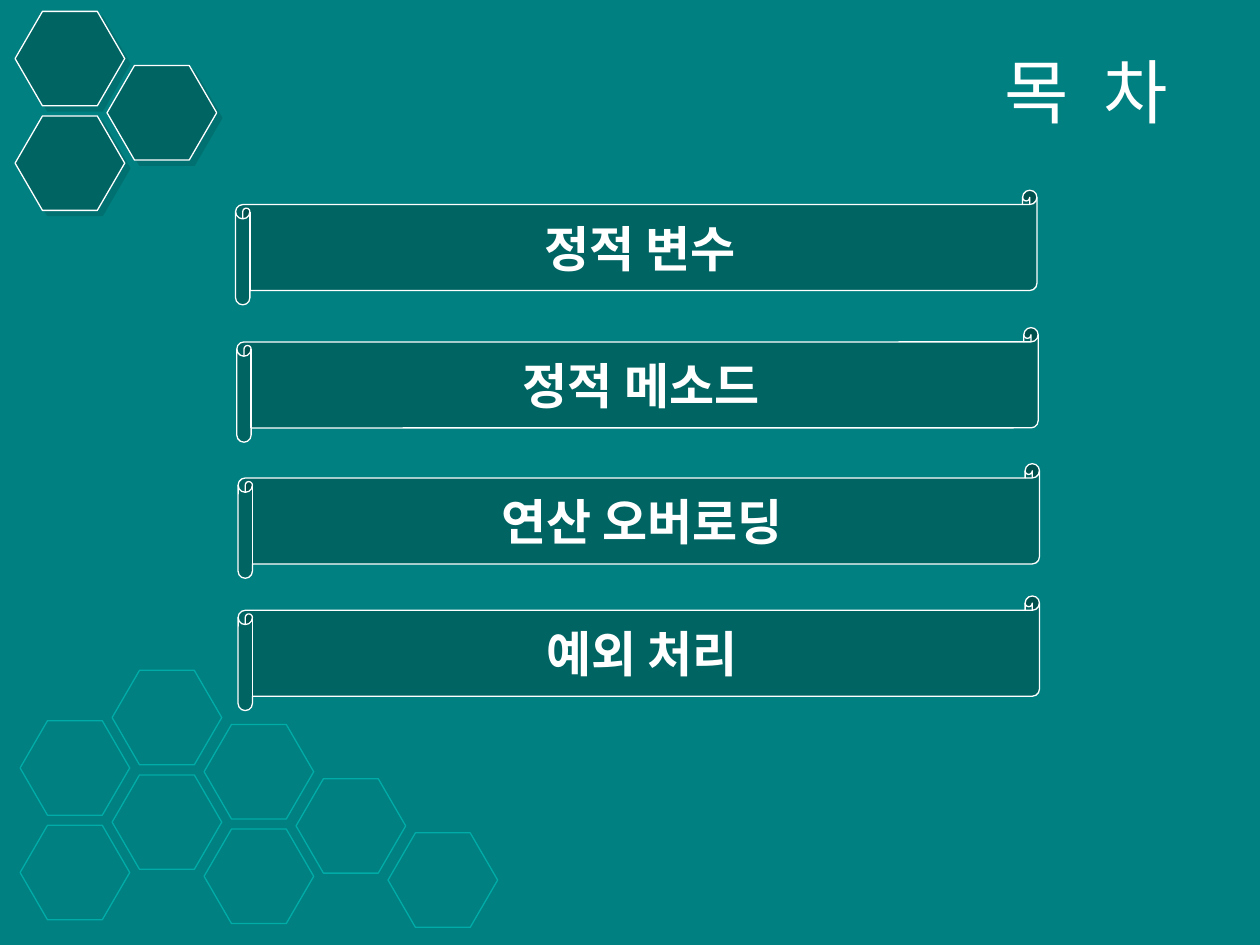
from dataclasses import dataclass

from lxml import etree
from pptx import Presentation
from pptx.dml.color import RGBColor
from pptx.enum.shapes import MSO_SHAPE
from pptx.enum.text import MSO_ANCHOR, PP_ALIGN
from pptx.oxml.ns import qn
from pptx.util import Inches, Pt

HEXAGON, SCROLL = MSO_SHAPE.HEXAGON, MSO_SHAPE.HORIZONTAL_SCROLL
MIDDLE = MSO_ANCHOR.MIDDLE
CENTER, RIGHT = PP_ALIGN.CENTER, PP_ALIGN.RIGHT

# Title runs: text and extra letter spacing in points
TITLE = [("목", 0), (" ", 11), ("차", 0)]
# Agenda entries: text, left and top of the scroll
TOPICS = [
    ("정적 변수", 1.87, 1.51),
    ("정적 메소드", 1.88, 2.6),
    ("연산 오버로딩", 1.89, 3.68),
    ("예외 처리", 1.89, 4.73),
]
# Honeycomb cells as (column, row); every column sits half a cell lower
OUTLINE_CELLS = [(2, 1), (2, 0), (3, 0), (4, 0), (1, 1), (1, 0), (0, 1), (0, 2)]
SOLID_CELLS = [(0, 1), (0, 0), (1, 0)]

OUTLINE_ORIGIN = (0.16, 4.89)
SOLID_ORIGIN = (0.12, 0.09)
COLUMN_STEP, ROW_STEP = 0.73, 0.83
COLUMN_DROP = 0.43
CELL_SIZE = (0.87, 0.75)
SCROLL_SIZE = (6.36, 0.91)
TITLE_AREA = (1.85, 0.28, 7.52, 0.87)


@dataclass(frozen=True)
class Theme:
    background: str = "008080"
    panel: str = "006462"
    faint: str = "00ACA8"
    white: str = "FFFFFF"
    line_width: float = 0.75
    title_size: int = 40
    topic_size: int = 28
    title_font: str = "Arial"
    topic_font: str = "Noto Sans CJK KR"


THEME = Theme()


def add_panel(page, kind, area, line, fill=None):
    shape = page.shapes.add_shape(kind, *map(Inches, area))
    shape.shadow.inherit = False
    if fill:
        shape.fill.solid()
        shape.fill.fore_color.rgb = RGBColor.from_string(fill)
    else:
        shape.fill.background()
    shape.line.color.rgb = RGBColor.from_string(line)
    shape.line.width = Pt(THEME.line_width)
    return shape


def cast_shadow(shape):
    """Give the shape a half-transparent shadow towards the lower right."""
    effects = shape._element.spPr.find(qn("a:effectLst"))
    shadow = etree.SubElement(effects, qn("a:outerShdw"), dist=str(Pt(4.2)),
                              dir="2700000", algn="ctr", rotWithShape="0")
    color = etree.SubElement(shadow, qn("a:srgbClr"), val=THEME.panel)
    etree.SubElement(color, qn("a:alpha"), val="50000")


def add_honeycomb(page, cells, origin, line, fill=None):
    for column, row in cells:
        left = origin[0] + column * COLUMN_STEP
        top = origin[1] + column * COLUMN_DROP + row * ROW_STEP
        cell = add_panel(page, HEXAGON, (left, top, *CELL_SIZE), line, fill)
        cell.adjustments[0] = 0.29
        if fill:
            cast_shadow(cell)


def write_line(box, runs, align, font, size, bold=False):
    frame = box.text_frame
    frame.word_wrap = True
    frame.vertical_anchor = MIDDLE
    para = frame.paragraphs[0]
    para.alignment = align
    for text, spacing in runs:
        span = para.add_run()
        span.text = text
        span.font.name = font
        span.font.size = Pt(size)
        span.font.bold = bold
        span.font.color.rgb = RGBColor.from_string(THEME.white)
        properties = span.font._element
        etree.SubElement(properties, qn("a:ea"), typeface=THEME.topic_font)
        if spacing:
            properties.set("spc", str(spacing * 100))


def main():
    deck = Presentation()
    deck.slide_width, deck.slide_height = Inches(10), Inches(7.5)
    page = deck.slides.add_slide(deck.slide_layouts[6])
    page.background.fill.solid()
    page.background.fill.fore_color.rgb = RGBColor.from_string(THEME.background)

    add_honeycomb(page, OUTLINE_CELLS, OUTLINE_ORIGIN, THEME.faint)
    add_honeycomb(page, SOLID_CELLS, SOLID_ORIGIN, THEME.white, THEME.panel)

    title = page.shapes.add_textbox(*map(Inches, TITLE_AREA))
    write_line(title, TITLE, RIGHT, THEME.title_font, THEME.title_size)

    for text, left, top in TOPICS:
        scroll = add_panel(page, SCROLL, (left, top, *SCROLL_SIZE),
                           THEME.white, THEME.panel)
        write_line(scroll, [(text, 0)], CENTER, THEME.topic_font,
                   THEME.topic_size, bold=True)

    deck.save("out.pptx")


if __name__ == "__main__":
    main()
